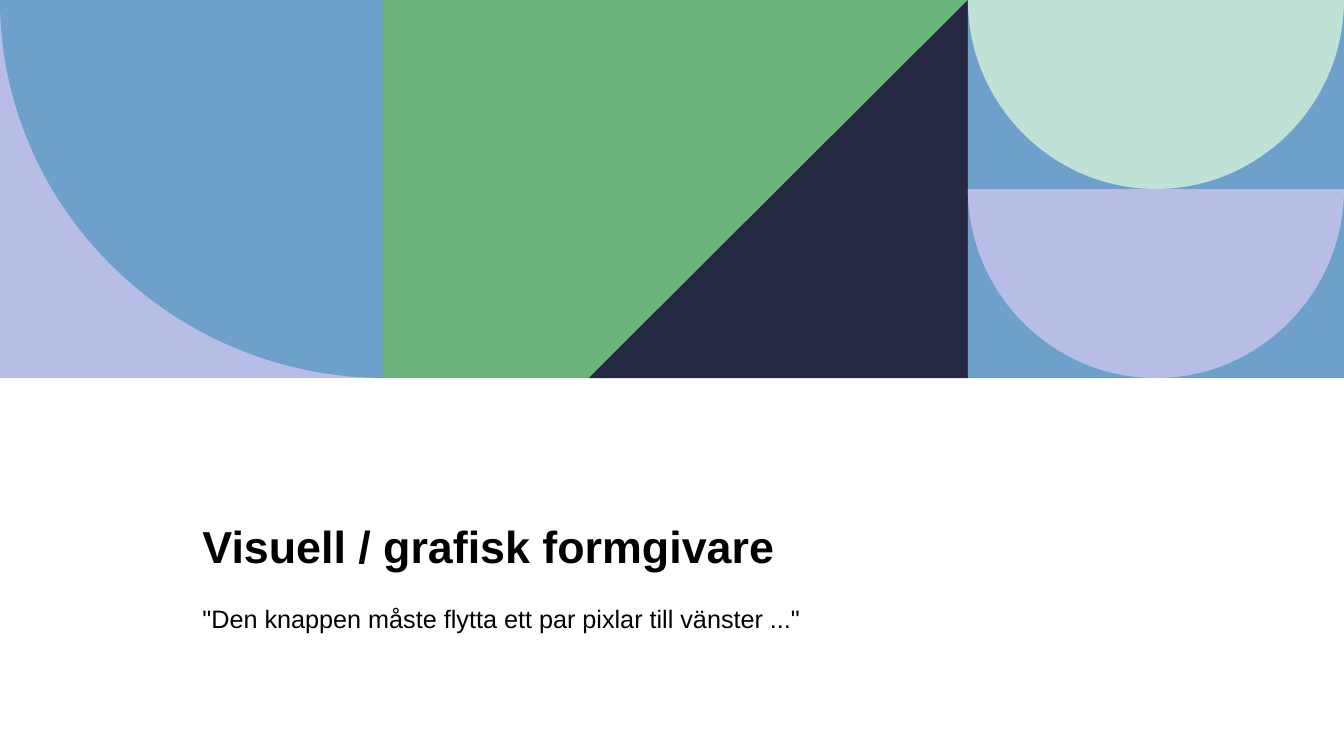
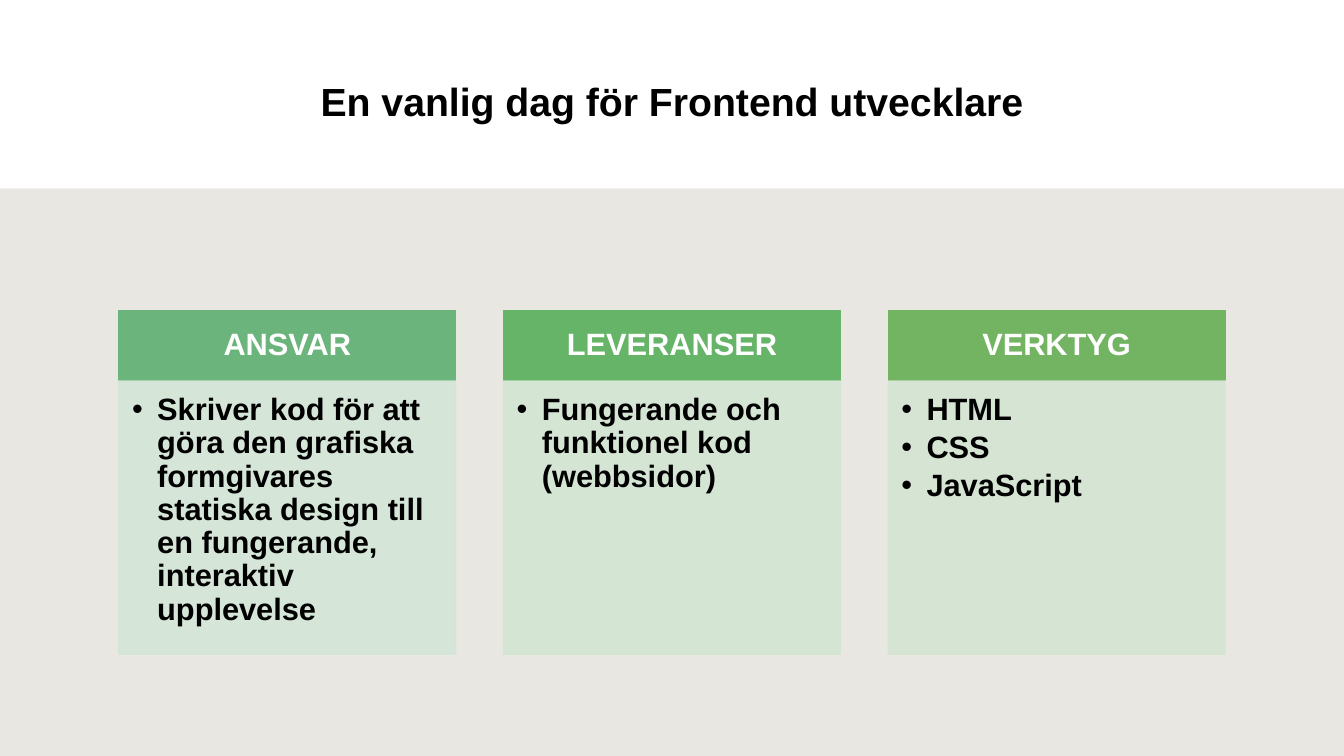
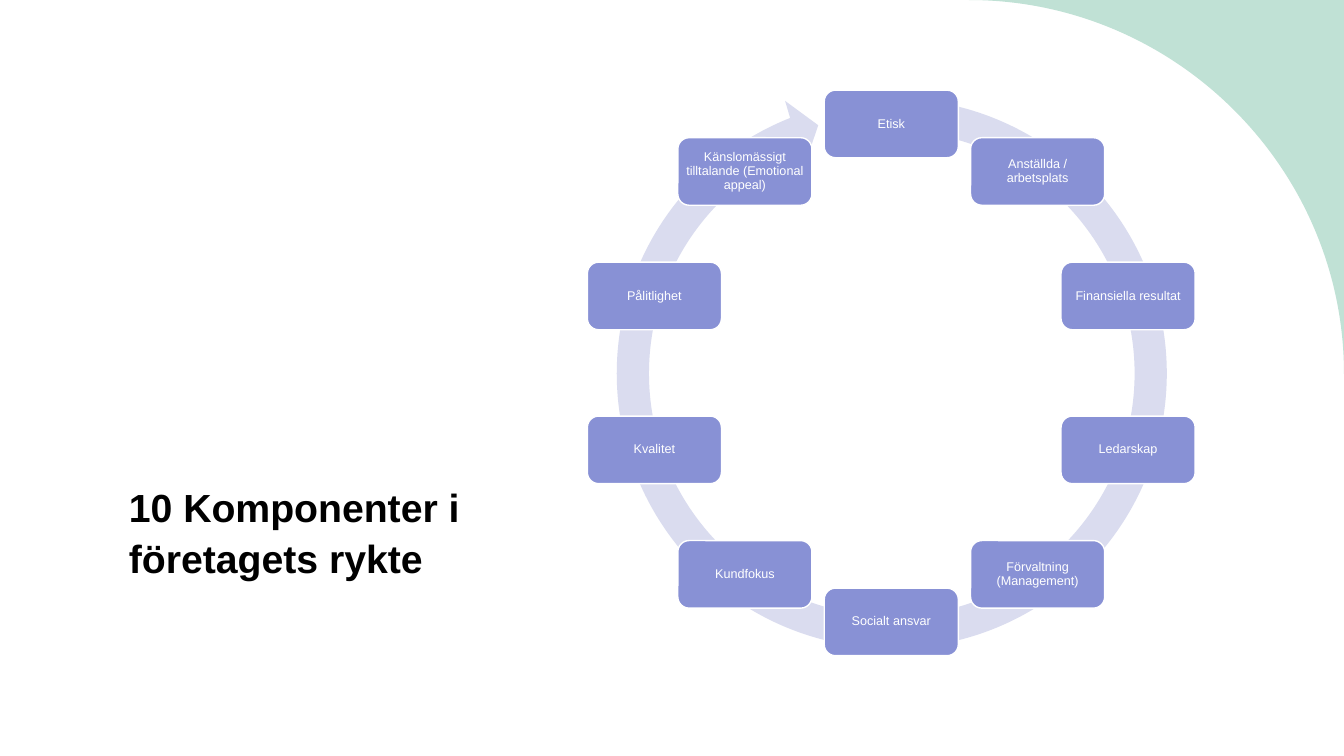
from math import cos, pi, sin

from lxml.etree import SubElement
from pptx import Presentation
from pptx.dml.color import RGBColor
from pptx.enum.shapes import MSO_SHAPE
from pptx.enum.text import MSO_ANCHOR, PP_ALIGN
from pptx.oxml.ns import qn
from pptx.util import Inches, Pt

COLORS = {
    "black": "000000", "white": "FFFFFF", "sand": "E8E7E2",
    "lilac": "B8BDE6", "blue": "6DA0CB", "green": "6BB47B",
    "navy": "242841", "mint": "C0E1D5", "ring": "DADCEF", "node": "8891D5",
    "leaf": "66B467", "moss": "72B461",
    "pale_green": "D4E5D7", "pale_leaf": "D3E5D3", "pale_moss": "D5E5D2",
}
FONT = "Arial"
SLIDE_W, SLIDE_H = 13.33, 7.5
MARGIN, CONTENT_W = 1.18, 10.97
TITLE = {"bold": True, "line_spacing": 1.1}
ARC_PULL = 0.55  # share of the radius that makes a Bézier curve a quarter arc

COLUMNS = [
    ("ANSVAR", "green", "pale_green",
     ["Skriver kod för att göra den grafiska formgivares statiska design "
      "till en fungerande, interaktiv upplevelse"]),
    ("LEVERANSER", "leaf", "pale_leaf",
     ["Fungerande och funktionel kod (webbsidor)"]),
    ("VERKTYG", "moss", "pale_moss", ["HTML", "CSS", "JavaScript"]),
]
COMPONENTS = [
    "Etisk", "Anställda / arbetsplats", "Finansiella resultat", "Ledarskap",
    "Förvaltning (Management)", "Socialt ansvar", "Kundfokus", "Kvalitet",
    "Pålitlighet", "Känslomässigt tilltalande (Emotional appeal)",
]


def rgb(name):
    return RGBColor.from_string(COLORS[name])


def paint(shape, fill, line=None, opacity=None):
    shape.shadow.inherit = False
    shape.fill.solid()
    shape.fill.fore_color.rgb = rgb(fill)
    if line:
        shape.line.color.rgb = rgb(line)
        shape.line.width = Pt(1)
    else:
        shape.line.fill.background()
    if opacity:
        for color in shape._element.spPr.iter(qn("a:srgbClr")):
            SubElement(color, qn("a:alpha"), val=str(opacity * 1000))
    return shape


def add_preset(slide, preset, left, top, width, height, fill, **style):
    shape = slide.shapes.add_shape(
        preset, Inches(left), Inches(top), Inches(width), Inches(height))
    return paint(shape, fill, **style)


def add_rect(slide, *box, **style):
    return add_preset(slide, MSO_SHAPE.RECTANGLE, *box, **style)


def quarter_arc(start, corner, end):
    """Control points and end of an arc that bends towards corner."""
    controls = [tuple(p + ARC_PULL * (c - p) for p, c in zip(point, corner))
                for point in (start, end)]
    return controls + [end]


def add_outline(slide, start, segments, fill):
    """Draw a closed outline; a segment is one point or a three-point curve."""
    points = [(Inches(x), Inches(y)) for segment in segments for x, y in segment]
    builder = slide.shapes.build_freeform(Inches(start[0]), Inches(start[1]))
    builder.add_line_segments(points, close=True)
    shape = builder.convert_to_shape()
    lines = iter(list(shape._element.iter(qn("a:lnTo"))))
    for segment in segments:
        first, *others = [next(lines) for _ in segment]
        if others:
            curve = first.makeelement(qn("a:cubicBezTo"))
            first.addprevious(curve)
            for step in (first, *others):
                curve.append(step[0])
                step.getparent().remove(step)
    return paint(shape, fill)


def add_bullet(paragraph, indent):
    properties = paragraph._p.get_or_add_pPr()
    properties.set("marL", str(Inches(indent)))
    properties.set("indent", str(Inches(-indent)))
    SubElement(properties, qn("a:buFont"), typeface=FONT)
    SubElement(properties, qn("a:buChar"), char="•")


def write(shape, *texts, size, color="black", bold=False,
          align=PP_ALIGN.LEFT, anchor=MSO_ANCHOR.TOP, line_spacing=0.9,
          space_after=0, bullet_indent=None, insets=(0.1, 0.05, 0.1, 0.05)):
    """Fill a shape with one paragraph per text; insets run left to bottom."""
    frame = shape.text_frame
    frame.word_wrap = True
    frame.vertical_anchor = anchor
    (frame.margin_left, frame.margin_top,
     frame.margin_right, frame.margin_bottom) = map(Inches, insets)
    for index, text in enumerate(texts):
        paragraph = frame.add_paragraph() if index else frame.paragraphs[0]
        paragraph.alignment = align
        paragraph.line_spacing = line_spacing
        paragraph.space_after = Pt(space_after)
        if bullet_indent:
            add_bullet(paragraph, bullet_indent)
        run = paragraph.add_run()
        run.text = text
        run.font.name = FONT
        run.font.size = Pt(size)
        run.font.bold = bold
        run.font.color.rgb = rgb(color)


def add_text(slide, text, left, top, width, height, **text_format):
    box = slide.shapes.add_textbox(
        Inches(left), Inches(top), Inches(width), Inches(height))
    write(box, text, **text_format)


def add_half_circle(slide, left, top, width, height, fill):
    """Flat side up."""
    right, bottom = left + width, top + height
    lowest = (left + width / 2, bottom)
    add_outline(slide, (left, top), [
        [(right, top)],
        quarter_arc((right, top), (right, bottom), lowest),
        quarter_arc(lowest, (left, bottom), (left, top)),
    ], fill)


def build_cover(slide):
    band_h, green_x, right_x = 3.75, 3.8, 9.6
    right_w = SLIDE_W - right_x
    add_text(slide, "Visuell / grafisk formgivare", 1.91, 4.5, 9.47, 1.23,
             size=32, anchor=MSO_ANCHOR.BOTTOM, **TITLE)
    add_text(slide, '"Den knappen måste flytta ett par pixlar till vänster ..."',
             1.91, 5.88, 9.47, 0.74, size=18, line_spacing=1.2)

    add_rect(slide, 0, 0, 3.81, band_h, fill="lilac")
    quarter_w = 3.82
    add_outline(slide, (quarter_w, 0), [
        [(0, 0)], quarter_arc((0, 0), (0, band_h), (quarter_w, band_h)),
    ], "blue")
    add_rect(slide, green_x, 0, right_x - green_x, band_h, fill="green")
    add_outline(slide, (right_x, 0),
                [[(right_x, band_h)], [(5.84, band_h)]], "navy")
    add_rect(slide, right_x, 0, right_w, band_h, fill="blue")
    for row, fill in enumerate(("mint", "lilac")):
        add_half_circle(slide, right_x, row * band_h / 2,
                        right_w, band_h / 2, fill)


def add_column(slide, left, width, heading, fill, pale_fill, items):
    header = add_rect(slide, left, 3.08, width, 0.69, fill=fill, line=fill)
    write(header, heading, size=22, color="white", bold=True,
          align=PP_ALIGN.CENTER, anchor=MSO_ANCHOR.MIDDLE,
          insets=(0.17, 0.1, 0.17, 0.1))
    body = add_rect(slide, left, 3.78, width, 2.71,
                    fill=pale_fill, line=pale_fill, opacity=90)
    write(body, *items, size=22, bold=True, space_after=3.3,
          bullet_indent=0.25, insets=(0.13, 0.13, 0.17, 0.19))


def build_workday(slide):
    add_text(slide, "En vanlig dag för Frontend utvecklare",
             MARGIN, 0.49, CONTENT_W, 0.97, size=28, align=PP_ALIGN.CENTER,
             anchor=MSO_ANCHOR.MIDDLE, **TITLE)
    add_rect(slide, 0, 1.87, SLIDE_W, SLIDE_H - 1.87, fill="sand")
    column_w = 3.34
    pitch = (CONTENT_W - column_w) / (len(COLUMNS) - 1)
    for index, column in enumerate(COLUMNS):
        add_column(slide, MARGIN + index * pitch, column_w, *column)


def build_reputation(slide):
    add_text(slide, "10 Komponenter i företagets rykte",
             MARGIN, 1.75, 3.57, 4.07, size=28, anchor=MSO_ANCHOR.BOTTOM, **TITLE)
    curve_top, curve_end = (9.61, 0), (SLIDE_W, 3.71)
    add_outline(slide, curve_top, [
        [(SLIDE_W, 0)], [curve_end],
        quarter_arc(curve_end, (SLIDE_W, 0), curve_top),
    ], "mint")

    ring = add_preset(slide, MSO_SHAPE.CIRCULAR_ARROW,
                      5.94, 0.8, 5.81, 5.81, fill="ring")
    for index, value in enumerate((0.055, 3.307, 148.792, 167.447, 0.058)):
        ring.adjustments[index] = value

    center_x, center_y, radius = 8.84, 3.7, 2.47
    node_w, node_h = 1.33, 0.67
    for index, component in enumerate(COMPONENTS):
        angle = 2 * pi * index / len(COMPONENTS)
        node = add_preset(slide, MSO_SHAPE.ROUNDED_RECTANGLE,
                          center_x + radius * sin(angle) - node_w / 2,
                          center_y - radius * cos(angle) - node_h / 2,
                          node_w, node_h, fill="node", line="white")
        write(node, component, size=9, color="white", align=PP_ALIGN.CENTER,
              anchor=MSO_ANCHOR.MIDDLE, insets=(0.04,) * 4)


def main():
    deck = Presentation()
    deck.slide_width, deck.slide_height = Inches(SLIDE_W), Inches(SLIDE_H)
    for build in (build_cover, build_workday, build_reputation):
        slide = deck.slides.add_slide(deck.slide_layouts[6])
        add_rect(slide, 0, 0, SLIDE_W, SLIDE_H, fill="white")
        build(slide)
    deck.save("out.pptx")


if __name__ == "__main__":
    main()
